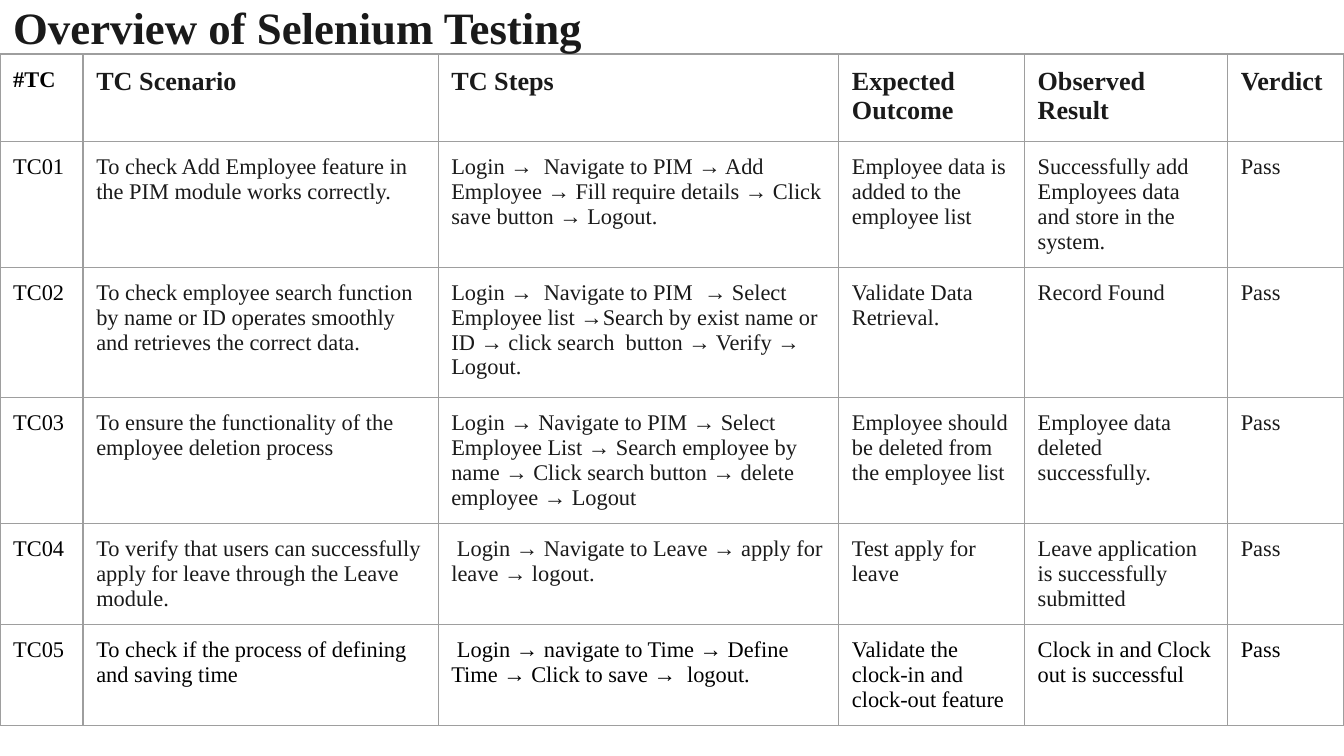
from typing import NamedTuple

from lxml.etree import SubElement
from pptx import Presentation
from pptx.dml.color import RGBColor
from pptx.oxml.ns import qn
from pptx.util import Cm, Pt

COLORS = {"black": "000000", "ink": "1A1A1A", "border": "9E9E9E"}
FONT = "Times New Roman"
INSET = Cm(0.25)
COL_WIDTHS = (1.57, 6.71, 7.57, 3.51, 3.84, 2.2)
ROW_HEIGHTS = (1.65, 2.18, 2.46, 2.34, 1.9, 0.64)
MARGINS = {f"margin_{side}": INSET for side in ("left", "top", "right", "bottom")}


class TestCase(NamedTuple):
    tc: str
    scenario: str
    steps: str
    expected: str
    observed: str
    verdict: str = "Pass"


HEADER = TestCase("#TC", "TC Scenario", "TC Steps", "Expected Outcome",
                  "Observed Result", "Verdict")
CASES = [
    TestCase("TC01", "To check Add Employee feature in the PIM module works correctly.",
             "Login →  Navigate to PIM → Add Employee → Fill require details → "
             "Click save button → Logout.",
             "Employee data is added to the employee list",
             "Successfully add Employees data and store in the system."),
    TestCase("TC02", "To check employee search function by name or ID operates smoothly "
             "and retrieves the correct data.",
             "Login →  Navigate to PIM  → Select Employee list →Search by exist name or "
             "ID → click search  button → Verify →  Logout.",
             "Validate Data Retrieval.", "Record Found"),
    TestCase("TC03", "To ensure the functionality of the employee deletion process",
             "Login → Navigate to PIM → Select Employee List → Search employee by name → "
             "Click search button → delete employee → Logout",
             "Employee should be deleted from the employee list",
             "Employee data deleted successfully."),
    TestCase("TC04", "To verify that users can successfully apply for leave through "
             "the Leave module.",
             " Login → Navigate to Leave → apply for leave → logout.",
             "Test apply for leave", "Leave application is successfully submitted"),
    TestCase("TC05", "To check if the process of defining and saving time",
             " Login → navigate to Time → Define Time → Click to save →  logout.",
             "Validate the clock-in and clock-out feature",
             "Clock in and Clock out is successful"),
]


def set_attrs(obj, values: dict) -> None:
    for name, value in values.items():
        setattr(obj, name, value)


def write(tf, text: str, size: int, color: str, bold: bool) -> None:
    p = tf.paragraphs[0]
    r = p.add_run()
    r.text = text
    set_attrs(r.font, {"name": FONT, "size": Pt(size), "bold": bold})
    r.font.color.rgb = RGBColor.from_string(COLORS[color])


def add_borders(cell) -> None:
    tc_pr = cell._tc.get_or_add_tcPr()
    for side in ("L", "R", "T", "B"):
        ln = SubElement(tc_pr, qn(f"a:ln{side}"), w=str(Pt(0.75)))
        fill = SubElement(ln, qn("a:solidFill"))
        SubElement(fill, qn("a:srgbClr"), val=COLORS["border"])


def add_case_table(s, rows: list[TestCase]) -> None:
    frame = s.shapes.add_table(len(rows), len(COL_WIDTHS), 0, Cm(1.02), Cm(25.4), Cm(13.39))
    table = frame.table
    set_attrs(table, {"first_row": False, "horz_banding": False})
    for column, width in zip(table.columns, COL_WIDTHS):
        column.width = Cm(width)
    for row, height in zip(table.rows, ROW_HEIGHTS):
        row.height = Cm(height)
    for i, case in enumerate(rows):
        header, last = i == 0, i == len(rows) - 1
        for j, text in enumerate(case):
            cell = table.cell(i, j)
            set_attrs(cell, MARGINS)
            add_borders(cell)
            cell.fill.background()
            size = 14 if header and j else 12
            color = "black" if j == 0 or last else "ink"
            write(cell.text_frame, text, size, color, header)
    frame.height = Cm(13.39)


def add_title(s, text: str) -> None:
    sp = s.shapes.add_textbox(0, Cm(-0.25), Cm(18.8), Cm(1.55))
    tf = sp.text_frame
    set_attrs(tf, {"word_wrap": True, **MARGINS})
    write(tf, text, 24, "ink", True)


def main() -> None:
    prs = Presentation()
    set_attrs(prs, {"slide_width": Cm(25.4), "slide_height": Cm(14.29)})
    s = prs.slides.add_slide(prs.slide_layouts[6])
    add_case_table(s, [HEADER, *CASES])
    add_title(s, "Overview of Selenium Testing")
    prs.save("out.pptx")


if __name__ == "__main__":
    main()
